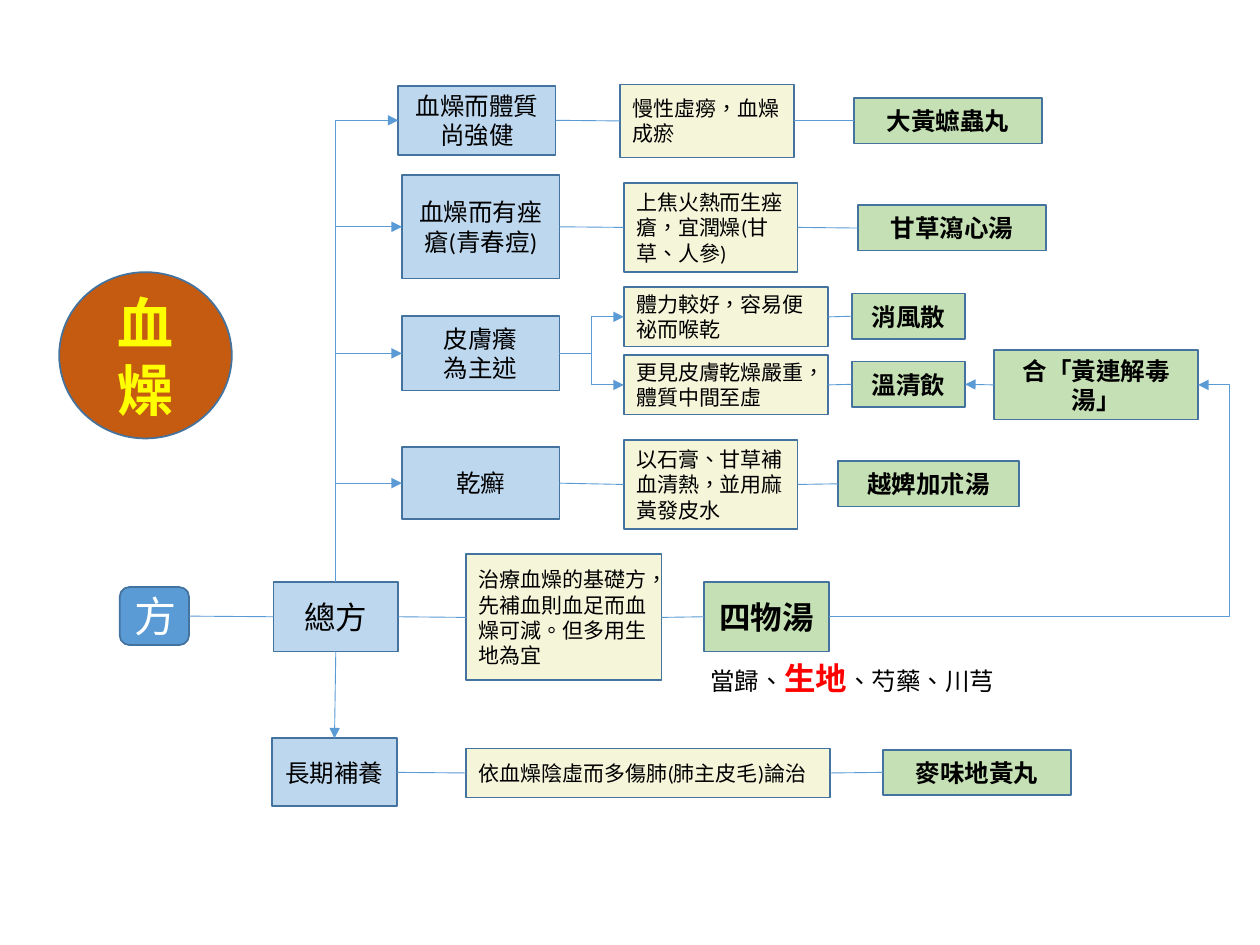
from dataclasses import dataclass

from lxml.etree import SubElement
from pptx import Presentation
from pptx.dml.color import RGBColor
from pptx.enum.lang import MSO_LANGUAGE_ID
from pptx.enum.shapes import MSO_CONNECTOR, MSO_SHAPE
from pptx.enum.text import MSO_ANCHOR, PP_ALIGN
from pptx.oxml.ns import qn
from pptx.util import Inches, Pt


@dataclass(frozen=True)
class Theme:
    blue: str = "5B9BD5"
    edge: str = "43739E"
    pale: str = "BDD7EE"
    cream: str = "F5F5DA"
    green: str = "C5E0B4"
    rust: str = "C55A11"
    black: str = "000000"
    white: str = "FFFFFF"
    red: str = "FF0000"
    yellow: str = "FFFF00"
    plain: str = "Calibri"
    heavy: str = "Noto Sans CJK SC"
    small: int = 12
    body: int = 14
    large: int = 18
    sign: int = 24
    title: int = 32


theme = Theme()
TOP, LEFT, BOTTOM, RIGHT = range(4)


def write(para, text, size=theme.body, color=theme.black, font=theme.plain, bold=False):
    run = para.add_run()
    run.text = text
    run.font.size = Pt(size)
    run.font.name = font
    run.font.bold = bold
    run.font.language_id = MSO_LANGUAGE_ID.TRADITIONAL_CHINESE
    run.font.color.rgb = RGBColor.from_string(color)


def link(start, exit, end, entry, kind=MSO_CONNECTOR.STRAIGHT, arrow=False):
    line = slide.shapes.add_connector(kind, 0, 0, 0, 0)
    line.begin_connect(boxes[start], exit)
    line.end_connect(boxes[end], entry)
    line.line.color.rgb = RGBColor.from_string(theme.blue)
    line.line.width = Pt(0.5)
    if arrow:
        SubElement(line.line._get_or_add_ln(), qn("a:tailEnd"), type="triangle")
    SubElement(line._element.spPr, qn("a:effectLst"))
    return line


deck = Presentation()
deck.slide_width, deck.slide_height = Inches(10), Inches(7.5)
slide = deck.slides.add_slide(deck.slide_layouts[6])

rect = MSO_SHAPE.RECTANGLE
center, left = PP_ALIGN.CENTER, PP_ALIGN.LEFT
sign = dict(fill=theme.blue, align=center, font=dict(size=theme.sign, color=theme.white))
topic = dict(fill=theme.rust, align=center,
             font=dict(size=theme.title, color=theme.yellow, font=theme.heavy, bold=True))
case = dict(fill=theme.pale, align=center, font={})
root = dict(case, font=dict(size=theme.large))
note = dict(fill=theme.cream, align=left, font=dict(size=theme.small))
cure = dict(fill=theme.green, align=center, font=dict(font=theme.heavy, bold=True))
base = dict(cure, font=dict(cure["font"], size=theme.large))

items = [
    ("topic", MSO_SHAPE.OVAL, topic, "血燥", 0.47, 2.16, 1.37, 1.32),
    ("sign", MSO_SHAPE.ROUNDED_RECTANGLE, sign, "方", 0.95, 4.66, 0.55, 0.46),
    ("root", rect, root, "總方", 2.17, 4.62, 0.99, 0.55),
    ("base note", rect, note, "治療血燥的基礎方，先補血則血足而血燥可減。但多用生地為宜", 3.7, 4.4, 1.55, 1),
    ("base", rect, base, "四物湯", 5.59, 4.62, 0.99, 0.55),
    ("long", rect, case, "長期補養", 2.16, 5.86, 0.99, 0.54),
    ("long note", rect, note, "依血燥陰虛而多傷肺(肺主皮毛)論治", 3.7, 5.94, 2.89, 0.39),
    ("long cure", rect, cure, "麥味地黃丸", 7.01, 5.95, 1.49, 0.36),
    ("strong", rect, case, "血燥而體質尚強健", 3.16, 0.68, 1.25, 0.55),
    ("strong note", rect, note, "慢性虛癆，血燥成瘀", 4.92, 0.67, 1.38, 0.58),
    ("strong cure", rect, cure, "大黃蟅蟲丸", 6.78, 0.78, 1.49, 0.36),
    ("acne", rect, case, "血燥而有痤瘡(青春痘)", 3.19, 1.39, 1.25, 0.82),
    ("acne note", rect, note, "上焦火熱而生痤瘡，宜潤燥(甘草、人參)", 4.95, 1.45, 1.38, 0.71),
    ("acne cure", rect, cure, "甘草瀉心湯", 6.81, 1.63, 1.49, 0.36),
    ("itch", rect, case, "皮膚癢\n為主述", 3.19, 2.51, 1.25, 0.59),
    ("mild note", rect, note, "體力較好，容易便祕而喉乾", 4.95, 2.28, 1.62, 0.47),
    ("mild cure", rect, cure, "消風散", 6.76, 2.33, 0.9, 0.36),
    ("dry note", rect, note, "更見皮膚乾燥嚴重，體質中間至虛", 4.95, 2.82, 1.62, 0.47),
    ("dry cure", rect, cure, "溫清飲", 6.76, 2.87, 0.9, 0.36),
    ("joint", rect, cure, "合「黃連解毒湯」", 7.89, 2.78, 1.62, 0.55),
    ("scale", rect, case, "乾癬", 3.19, 3.55, 1.25, 0.57),
    ("scale note", rect, note, "以石膏、甘草補血清熱，並用麻黃發皮水", 4.95, 3.49, 1.38, 0.71),
    ("scale cure", rect, cure, "越婢加朮湯", 6.65, 3.66, 1.44, 0.36),
]

boxes = {}
for name, form, look, text, *place in items:
    box = slide.shapes.add_shape(form, *map(Inches, place))
    box.shadow.inherit = False
    box.fill.solid()
    box.fill.fore_color.rgb = RGBColor.from_string(look["fill"])
    box.line.color.rgb = RGBColor.from_string(theme.edge)
    box.line.width = Pt(1)
    frame = box.text_frame
    frame.word_wrap = True
    frame.vertical_anchor = MSO_ANCHOR.MIDDLE
    for i, part in enumerate(text.split("\n")):
        para = frame.add_paragraph() if i else frame.paragraphs[0]
        para.alignment = look["align"]
        write(para, part, **look["font"])
    boxes[name] = box

herbs = slide.shapes.add_textbox(*map(Inches, (5.54, 5.18, 2.47, 0.4)))
herbs.text_frame.word_wrap = False
para = herbs.text_frame.paragraphs[0]
write(para, "當歸、")
write(para, "生地", size=theme.large, color=theme.red, bold=True)
write(para, "、芍藥、川芎")

rows = [
    ("sign", "root", "base note", "base"),
    ("long", "long note", "long cure"),
    ("strong", "strong note", "strong cure"),
    ("acne", "acne note", "acne cure"),
    ("mild note", "mild cure"),
    ("dry note", "dry cure"),
    ("scale", "scale note", "scale cure"),
]
for row in rows:
    for start, end in zip(row, row[1:]):
        link(start, RIGHT, end, LEFT)

link("root", BOTTOM, "long", TOP, arrow=True)
link("joint", LEFT, "dry cure", RIGHT, arrow=True)
for end in ("mild note", "dry note"):
    link("itch", RIGHT, end, LEFT, MSO_CONNECTOR.ELBOW, True)

loop = link("base", RIGHT, "joint", RIGHT, MSO_CONNECTOR.ELBOW, True)
guides = loop._element.spPr.find(qn("a:prstGeom")).find(qn("a:avLst"))
SubElement(guides, qn("a:gd"), name="adj1", fmla="val 108500")

for end in ("strong", "acne", "itch", "scale"):
    bend = link("root", TOP, end, LEFT, MSO_CONNECTOR.ELBOW, True)
    bend._element.spPr.find(qn("a:prstGeom")).set("prst", "bentConnector2")
    wide, high = bend.width, bend.height
    bend.left += (wide - high) // 2
    bend.top += (high - wide) // 2
    bend.width, bend.height = high, wide
    turn = bend._element.spPr.find(qn("a:xfrm"))
    for key, value in (("rot", "5400000"), ("flipH", "1"), ("flipV", "1")):
        turn.set(key, value)

deck.save("out.pptx")
